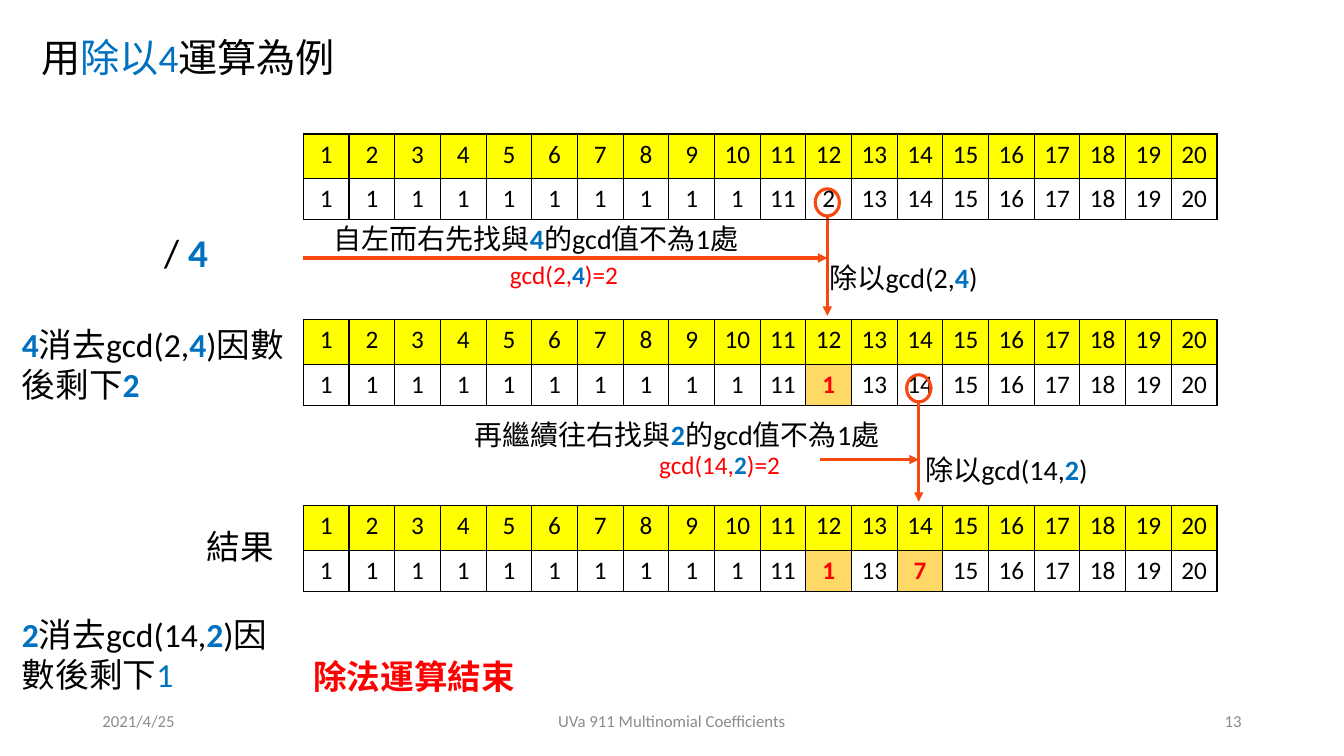
from lxml import etree
from pptx import Presentation
from pptx.dml.color import RGBColor
from pptx.enum.shapes import MSO_CONNECTOR, MSO_SHAPE
from pptx.enum.text import MSO_ANCHOR, MSO_AUTO_SIZE, PP_ALIGN
from pptx.oxml.ns import qn
from pptx.util import Pt

COLORS = {
    "black": "000000",
    "blue": "0070C0",
    "red": "FF0000",
    "gray": "8C8C8C",
    "orange": "F74811",
    "yellow": "FFFF00",
    "gold": "FFD966",
}
LATIN_FONT = "Calibri"
CHINESE_FONT = "Noto Sans CJK SC"

COUNT = 20
TABLE_LEFT = 216.7
TABLE_TOP = 95.7
TABLE_STEP = 132.8
COLUMN_WIDTH = 32.65
ROW_HEIGHTS = (32, 29)


def color(name):
    return RGBColor.from_string(COLORS[name])


def blue(text):
    return text, "blue", True


def add_run(paragraph, text, size, color_name="black", bold=False):
    run = paragraph.add_run()
    run.text = text
    font = run.font
    font.size = Pt(size)
    font.bold = bold
    font.color.rgb = color(color_name)
    font.name = LATIN_FONT if text.isascii() else CHINESE_FONT
    east_asian = etree.SubElement(font._element, qn("a:ea"))
    east_asian.set("typeface", CHINESE_FONT)


def add_text(slide, box, size, runs, align=PP_ALIGN.LEFT, default_color="black"):
    shape = slide.shapes.add_textbox(*[Pt(length) for length in box])
    frame = shape.text_frame
    frame.word_wrap = True
    frame.auto_size = MSO_AUTO_SIZE.SHAPE_TO_FIT_TEXT
    paragraph = frame.paragraphs[0]
    paragraph.alignment = align
    for run in runs:
        if isinstance(run, str):
            run = (run, default_color)
        add_run(paragraph, run[0], size, *run[1:])
    return shape


def add_footer(slide, left, width, text, align):
    shape = add_text(slide, (left, 500.4, width, 28.8), 12, [text], align, "gray")
    shape.text_frame.auto_size = MSO_AUTO_SIZE.NONE
    shape.text_frame.vertical_anchor = MSO_ANCHOR.MIDDLE


def add_borders(cell):
    properties = cell._tc.get_or_add_tcPr()
    for position, side in enumerate(("lnL", "lnR", "lnT", "lnB")):
        line = etree.Element(qn(f"a:{side}"), w=str(Pt(1)))
        fill = etree.SubElement(line, qn("a:solidFill"))
        etree.SubElement(fill, qn("a:srgbClr"), val=COLORS["black"])
        properties.insert(position, line)


def fill_cell(cell, text, fill_name=None, color_name="black", bold=False):
    if fill_name:
        cell.fill.solid()
        cell.fill.fore_color.rgb = color(fill_name)
    else:
        cell.fill.background()
    cell.margin_left = cell.margin_right = Pt(3)
    paragraph = cell.text_frame.paragraphs[0]
    paragraph.alignment = PP_ALIGN.CENTER
    add_run(paragraph, text, 18, color_name, bold)
    add_borders(cell)


def table_top(step):
    return TABLE_TOP + step * TABLE_STEP


def add_number_table(slide, step, values, reduced):
    table = slide.shapes.add_table(
        2, COUNT, Pt(TABLE_LEFT), Pt(table_top(step)),
        Pt(COUNT * COLUMN_WIDTH), Pt(sum(ROW_HEIGHTS)),
    ).table
    table.first_row = False
    table.horz_banding = False
    for row, height in zip(table.rows, ROW_HEIGHTS):
        row.height = Pt(height)
    for index, value in enumerate(values):
        number = index + 1
        table.columns[index].width = Pt(COLUMN_WIDTH)
        fill_cell(table.cell(0, index), str(number), "yellow")
        style = ("gold", "red", True) if number in reduced else ()
        fill_cell(table.cell(1, index), str(value), *style)


def add_arrow(shapes, start_x, start_y, end_x, end_y):
    arrow = shapes.add_connector(
        MSO_CONNECTOR.STRAIGHT, Pt(start_x), Pt(start_y), Pt(end_x), Pt(end_y)
    )
    arrow.line.color.rgb = color("orange")
    arrow.line.width = Pt(2.25)
    etree.SubElement(arrow.line._get_or_add_ln(), qn("a:tailEnd"), type="triangle")
    etree.SubElement(arrow._element.spPr, qn("a:effectLst"))


def marker_center(number):
    return TABLE_LEFT + (number - 0.5) * COLUMN_WIDTH - 1.2


def add_marker(slide, step, number):
    center = marker_center(number)
    top = table_top(step) + 39.2
    width, height = 17.3, 19.4
    group = slide.shapes.add_group_shape()
    circle = group.shapes.add_shape(
        MSO_SHAPE.OVAL, Pt(center - width / 2), Pt(top), Pt(width), Pt(height)
    )
    circle.shadow.inherit = False
    circle.fill.background()
    circle.line.color.rgb = color("orange")
    circle.line.width = Pt(2.25)
    add_arrow(group.shapes, center, top + height, center, top + height + 71.3)


def add_search_note(slide, left, top, lead, factor):
    runs = [lead, blue(factor), "的", "gcd", "值不為", "1", "處"]
    add_text(slide, (left, top, 323.3, 31.7), 20, runs)


def add_gcd_value(slide, left, top, width, number, factor):
    runs = [f"gcd({number},", blue(factor), ")=2"]
    add_text(slide, (left, top, width, 28.8), 18, runs, default_color="red")


def add_division_note(slide, left, top, width, number, factor):
    runs = ["除以", f"gcd({number},", blue(factor), ")"]
    add_text(slide, (left, top, width, 31.7), 20, runs)


def add_remainder_note(slide, top, number, factor, remainder):
    runs = [blue(factor), "消去", f"gcd({number},", blue(factor), ")", "因數後剩下", remainder]
    add_text(slide, (8.6, top, 203, 65.5), 24, runs)


def main():
    presentation = Presentation()
    presentation.slide_width = Pt(960)
    presentation.slide_height = Pt(540)
    slide = presentation.slides.add_slide(presentation.slide_layouts[6])

    add_marker(slide, 0, 12)
    add_footer(slide, 66, 216, "2021/4/25", PP_ALIGN.LEFT)
    add_footer(slide, 318, 324, "UVa 911 Multinomial Coefficients", PP_ALIGN.CENTER)
    add_footer(slide, 678, 216, "13", PP_ALIGN.RIGHT)

    values = [1] * 10 + list(range(11, COUNT + 1))
    reductions = ({12: 2}, {12: 1}, {12: 1, 14: 7})
    for step, changes in enumerate(reductions):
        for number, value in changes.items():
            values[number - 1] = value
        add_number_table(slide, step, values, changes if step else ())

    add_arrow(slide.shapes, TABLE_LEFT, 184.3, marker_center(12), 184.3)
    add_arrow(slide.shapes, 585.4, 328.3, marker_center(14), 328.3)
    add_marker(slide, 1, 14)

    title = ["用", ("除以", "blue"), ("4", "blue"), "運算為例"]
    add_text(slide, (22.3, 20.2, 235.4, 41), 28, title)
    add_text(slide, (110.2, 159.8, 60.5, 41), 28, ["/ ", blue("4")])
    add_gcd_value(slide, 357.1, 181.4, 106.6, 2, "4")
    add_gcd_value(slide, 463.7, 317.5, 124.6, 14, "2")
    add_search_note(slide, 231.1, 154.8, "自左而右先找與", "4")
    add_search_note(slide, 331.9, 294.5, "再繼續往右找與", "2")
    add_division_note(slide, 585.4, 182.2, 131.8, 2, "4")
    add_division_note(slide, 653.8, 319.7, 146.2, 14, "2")
    add_text(slide, (140.4, 372.2, 80, 36), 24, ["結果"])
    add_remainder_note(slide, 227.5, 2, "4", blue("2"))
    add_remainder_note(slide, 434.9, 14, "2", ("1", "blue"))
    add_text(slide, (216.7, 465.1, 164.2, 36), 24, [("除法運算結束", "red", True)])

    presentation.save("out.pptx")


if __name__ == "__main__":
    main()
